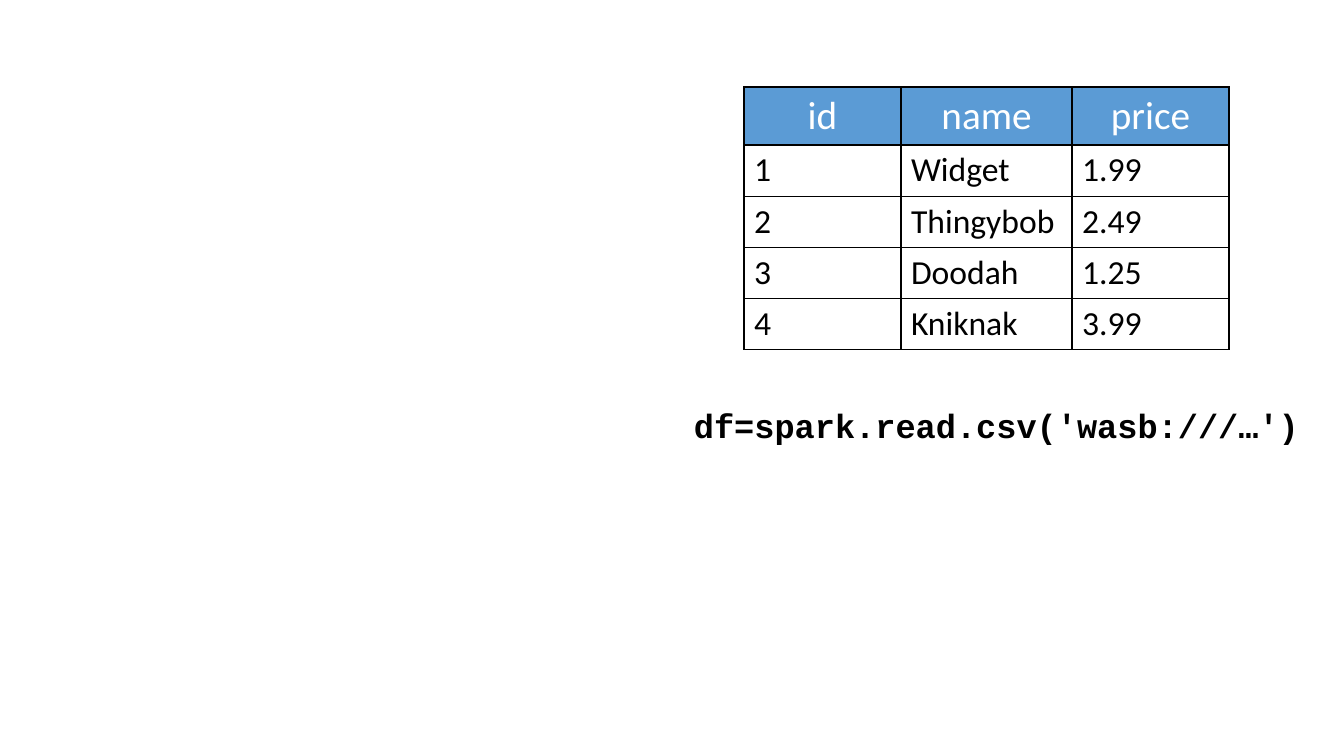
import pptx
import pptx.dml.color
import pptx.enum.text
import pptx.oxml
import pptx.oxml.ns
import pptx.util

PIXEL = 914400 / 100.8
BLACK, WHITE, BLUE = "000000", "FFFFFF", "5B9BD5"
PRODUCTS = [
    ("id", "name", "price"),
    ("1", "Widget", "1.99"),
    ("2", "Thingybob", "2.49"),
    ("3", "Doodah", "1.25"),
    ("4", "Kniknak", "3.99"),
]


def px(length):
    return pptx.util.Emu(round(length * PIXEL))


def color(value):
    return pptx.dml.color.RGBColor.from_string(value)


def add_span(para, text, size, font, ink, bold=False):
    span = para.add_run()
    span.text = text
    span.font.size = pptx.util.Pt(size)
    span.font.name = font
    span.font.bold = bold
    span.font.color.rgb = color(ink)


def add_borders(cell, ink, points):
    properties = cell._tc.get_or_add_tcPr()
    for index, side in enumerate(("lnL", "lnR", "lnT", "lnB")):
        border = pptx.oxml.parse_xml(
            f'<a:{side} {pptx.oxml.ns.nsdecls("a")} w="{pptx.util.Pt(points)}">'
            f'<a:solidFill><a:srgbClr val="{ink}"/></a:solidFill></a:{side}>')
        properties.insert(index, border)


def add_product_table(page, left, top, column_widths, row_height):
    frame = page.shapes.add_table(
        len(PRODUCTS), len(column_widths), px(left), px(top),
        px(sum(column_widths)), px(row_height * len(PRODUCTS)))
    table = frame.table
    table.horz_banding = False
    for column, width in zip(table.columns, column_widths):
        column.width = px(width)
    for row_number, product in enumerate(PRODUCTS):
        header = row_number == 0
        for column_number, text in enumerate(product):
            cell = table.cell(row_number, column_number)
            cell.fill.solid()
            cell.fill.fore_color.rgb = color(BLUE if header else WHITE)
            add_borders(cell, BLACK, 1)
            para = cell.text_frame.paragraphs[0]
            if header:
                para.alignment = pptx.enum.text.PP_ALIGN.CENTER
            add_span(para, text, 28 if header else 24, "Calibri",
                     WHITE if header else BLACK)


def add_code_line(page, left, top, width, height):
    box = page.shapes.add_textbox(px(left), px(top), px(width), px(height))
    box.text_frame.word_wrap = True
    box.text_frame.auto_size = pptx.enum.text.MSO_AUTO_SIZE.SHAPE_TO_FIT_TEXT
    add_span(box.text_frame.paragraphs[0], "df=spark.read.csv('wasb:///…')",
             24, "Courier New", BLACK, bold=True)


deck = pptx.Presentation()
deck.slide_width, deck.slide_height = px(1344), px(756)
page = deck.slides.add_slide(deck.slide_layouts[6])

# Product data
add_product_table(page, 744, 87, (157, 171, 157), 45)

# Code that loads it
add_code_line(page, 684, 400, 626, 50)

deck.save("out.pptx")
